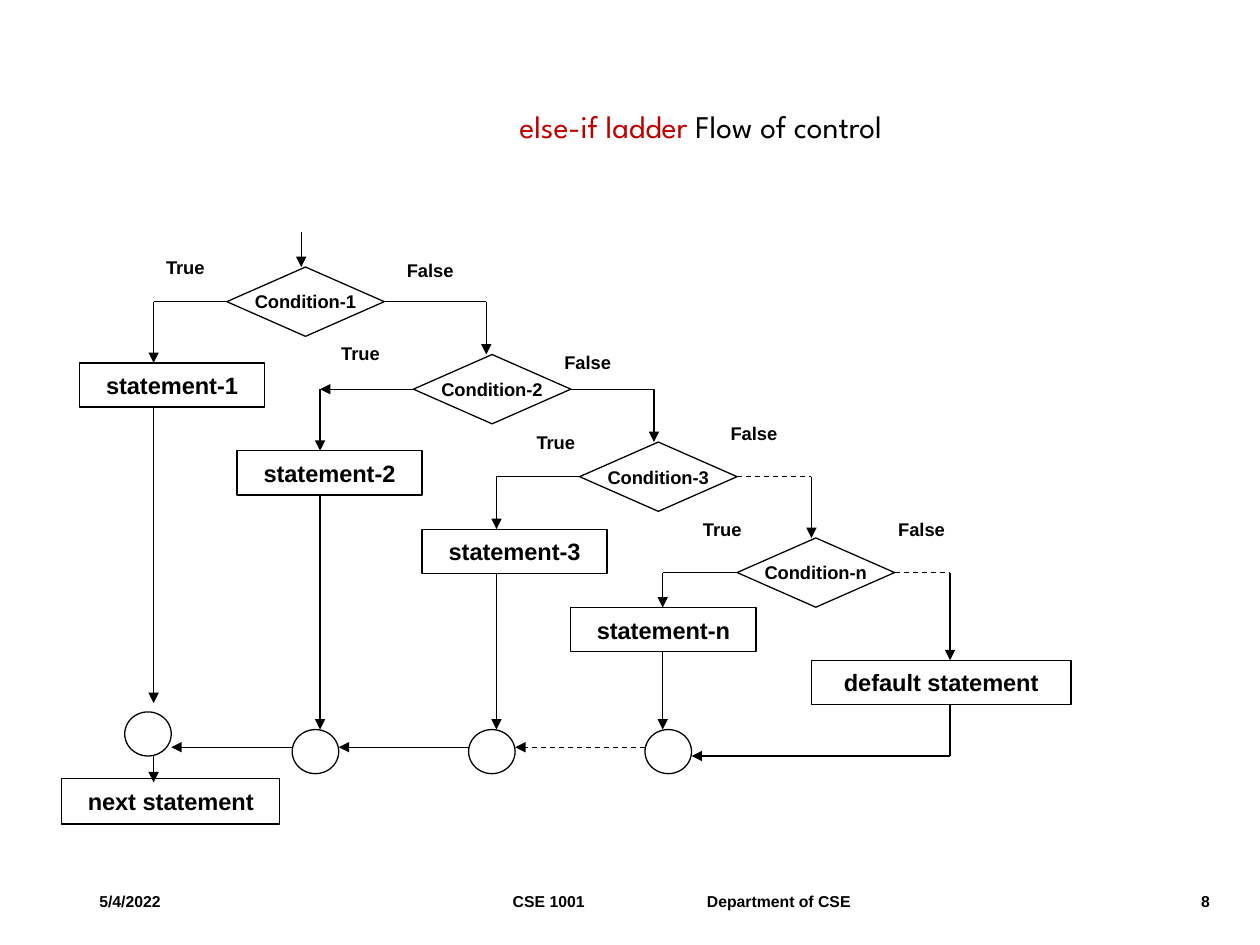
from dataclasses import dataclass
from itertools import pairwise
from typing import Any

from lxml import etree
from pptx import Presentation
from pptx.dml.color import RGBColor
from pptx.enum.dml import MSO_LINE
from pptx.enum.shapes import MSO_CONNECTOR, MSO_SHAPE
from pptx.enum.text import MSO_ANCHOR, MSO_AUTO_SIZE, PP_ALIGN
from pptx.oxml.ns import qn
from pptx.util import Pt

BLACK = RGBColor(0x00, 0x00, 0x00)
WHITE = RGBColor(0xFF, 0xFF, 0xFF)
RED = RGBColor(0xC0, 0x00, 0x00)

DECISION = MSO_SHAPE.FLOWCHART_DECISION
RECTANGLE = MSO_SHAPE.RECTANGLE
CIRCLE = MSO_SHAPE.OVAL
STRAIGHT = MSO_CONNECTOR.STRAIGHT
DASH = MSO_LINE.DASH
TOP, MIDDLE = MSO_ANCHOR.TOP, MSO_ANCHOR.MIDDLE
LEFT, CENTER, RIGHT = PP_ALIGN.LEFT, PP_ALIGN.CENTER, PP_ALIGN.RIGHT
FIT_SHAPE, NO_FIT = MSO_AUTO_SIZE.SHAPE_TO_FIT_TEXT, MSO_AUTO_SIZE.NONE

DECISION_SIZE = (90, 39.6)
STATEMENT_SIZE = (105.8, 25.2)
JOIN_SIZE = (26.6, 25.2)
JOIN_LINE_Y = 427
RETURN_Y = 432
LABEL_HEIGHT = 23

SMALL = {"name": "Arial", "size": Pt(10.5), "bold": True}
LARGE = {"name": "Arial", "size": Pt(13.5), "bold": True}
FOOTER = {"name": "Arial", "size": Pt(9), "bold": True}
TITLE = {"name": "League Spartan", "size": Pt(18), "bold": False}

Point = tuple[float, float]


@dataclass(frozen=True)
class Rung:
    suffix: str
    decision: Point
    statement: Point
    join: Point
    true_x: float
    false_x: float
    true_label: Point
    false_label: Point
    false_dashed: bool = False
    true_arrow: bool = False
    join_gap: float = 0


@dataclass(frozen=True)
class FooterItem:
    text: str
    left: float
    width: float
    align: Any
    margin_left: float = 7.2


RUNGS = [
    Rung("1", (129.6, 152.6), (45.4, 207.4), (71.3, 406.8), 87.8, 277.9,
         (87.8, 142.6), (225.4, 144.7), join_gap=5),
    Rung("2", (236.2, 202.6), (135.4, 257.6), (167, 416.9), 182.9, 373.7,
         (187.9, 192.2), (315.4, 197.3), true_arrow=True),
    Rung("3", (331.2, 252.6), (241.2, 302.4), (267.8, 416.9), 283.7, 463.7,
         (299.5, 242.6), (410.4, 237.6), false_dashed=True),
    Rung("n", (421.2, 307.4), (326.2, 347.2), (368.6, 416.9), 378.7, 542.9,
         (394.6, 292.3), (506.2, 292.3), false_dashed=True),
]
DEFAULT_AT, DEFAULT_SIZE = (463.7, 377.3), (148.3, 25.2)
NEXT_AT, NEXT_SIZE = (35.3, 445), (124.6, 25.9)

FOOTERS = [
    FooterItem("5/4/2022", 49.7, 68.4, LEFT),
    FooterItem("CSE 1001\tDepartment of CSE", 130.3, 518.4, LEFT, 162.7),
    FooterItem("8", 670.3, 28.1, RIGHT),
]
FOOTER_TAB = 111


def apply(target: Any, values: dict[str, Any]) -> None:
    for name, value in values.items():
        setattr(target, name, value)


def add_span(para: Any, text: str, style: dict[str, Any], color: RGBColor = BLACK) -> None:
    span = para.add_run()
    span.text = text
    apply(span.font, style)
    span.font.color.rgb = color


def add_node(page: Any, kind: Any, at: Point, size: Point,
             text: str = "", style: dict[str, Any] = LARGE) -> None:
    box = page.shapes.add_shape(kind, *map(Pt, at + size))
    box.shadow.inherit = False
    box.fill.solid()
    box.fill.fore_color.rgb = WHITE
    box.line.color.rgb = BLACK
    box.line.width = Pt(0.75)
    if text:
        apply(box.text_frame, {"word_wrap": False, "vertical_anchor": MIDDLE})
        para = box.text_frame.paragraphs[0]
        para.alignment = CENTER
        add_span(para, text, style)


def add_line(page: Any, start: Point, end: Point,
             arrow: bool = True, dashed: bool = False) -> None:
    connector = page.shapes.add_connector(STRAIGHT, *map(Pt, start + end))
    connector.line.color.rgb = BLACK
    connector.line.width = Pt(0.75)
    if dashed:
        connector.line.dash_style = DASH
    if arrow:
        etree.SubElement(connector.line._get_or_add_ln(), qn("a:tailEnd"), type="triangle")
    etree.SubElement(connector._element.spPr, qn("a:effectLst"))


def add_label(page: Any, text: str, at: Point, width: float) -> None:
    box = page.shapes.add_textbox(*map(Pt, at + (width, LABEL_HEIGHT)))
    apply(box.text_frame, {"word_wrap": False, "auto_size": FIT_SHAPE})
    add_span(box.text_frame.paragraphs[0], text, SMALL)


def add_rung(page: Any, rung: Rung, false_end_y: float) -> None:
    left, top = rung.decision
    middle = top + DECISION_SIZE[1] / 2
    true_corner, false_corner = (rung.true_x, middle), (rung.false_x, middle)
    statement_top = rung.statement[1]
    statement_bottom = statement_top + STATEMENT_SIZE[1]

    add_node(page, DECISION, rung.decision, DECISION_SIZE, f"Condition-{rung.suffix}", SMALL)
    add_node(page, RECTANGLE, rung.statement, STATEMENT_SIZE, f"statement-{rung.suffix}")
    add_node(page, CIRCLE, rung.join, JOIN_SIZE)
    add_line(page, (left, middle), true_corner, arrow=rung.true_arrow)
    add_line(page, true_corner, (rung.true_x, statement_top))
    add_line(page, (rung.true_x, statement_bottom), (rung.true_x, rung.join[1] - rung.join_gap))
    add_line(page, (left + DECISION_SIZE[0], middle), false_corner,
             arrow=False, dashed=rung.false_dashed)
    add_line(page, false_corner, (rung.false_x, false_end_y))
    add_label(page, "True", rung.true_label, 49.7)
    add_label(page, "False", rung.false_label, 54.7)


def add_footer(page: Any, item: FooterItem) -> None:
    box = page.shapes.add_textbox(Pt(item.left), Pt(500.4), Pt(item.width), Pt(28.8))
    apply(box.text_frame, {"word_wrap": True, "vertical_anchor": MIDDLE,
                           "margin_left": Pt(item.margin_left)})
    para = box.text_frame.paragraphs[0]
    para.alignment = item.align
    if "\t" in item.text:
        tabs = etree.SubElement(para._p.get_or_add_pPr(), qn("a:tabLst"))
        etree.SubElement(tabs, qn("a:tab"), pos=str(Pt(FOOTER_TAB)), algn="l")
    add_span(para, item.text, FOOTER)


def add_title(page: Any) -> None:
    title = page.shapes.title
    apply(title, {"left": Pt(178.6), "top": Pt(57.6), "width": Pt(332.6), "height": Pt(28.8)})
    apply(title.text_frame, {"word_wrap": True, "auto_size": NO_FIT, "vertical_anchor": TOP})
    para = title.text_frame.paragraphs[0]
    para.alignment = RIGHT
    add_span(para, "else-if ladder ", TITLE, RED)
    add_span(para, "Flow of control", TITLE)


def main() -> None:
    deck = Presentation()
    apply(deck, {"slide_width": Pt(720), "slide_height": Pt(540)})
    page = deck.slides.add_slide(deck.slide_layouts[5])
    add_title(page)

    first, last = RUNGS[0], RUNGS[-1]
    false_ends = [rung.decision[1] for rung in RUNGS[1:]] + [DEFAULT_AT[1]]
    for rung, false_end_y in zip(RUNGS, false_ends):
        add_rung(page, rung, false_end_y)
    for target, source in pairwise(RUNGS):
        add_line(page, (source.join[0], JOIN_LINE_Y),
                 (target.join[0] + JOIN_SIZE[0], JOIN_LINE_Y), dashed=source is last)

    add_node(page, RECTANGLE, DEFAULT_AT, DEFAULT_SIZE, "default statement")
    add_node(page, RECTANGLE, NEXT_AT, NEXT_SIZE, "next statement")
    return_corner = (last.false_x, RETURN_Y)
    add_line(page, (last.false_x, DEFAULT_AT[1] + DEFAULT_SIZE[1]), return_corner, arrow=False)
    add_line(page, return_corner, (last.join[0] + JOIN_SIZE[0], RETURN_Y))
    add_line(page, (172.1, 132.5), (172.1, first.decision[1]))
    add_line(page, (first.true_x, RETURN_Y), (first.true_x, 447.1))

    for item in FOOTERS:
        add_footer(page, item)
    deck.save("out.pptx")


if __name__ == "__main__":
    main()
